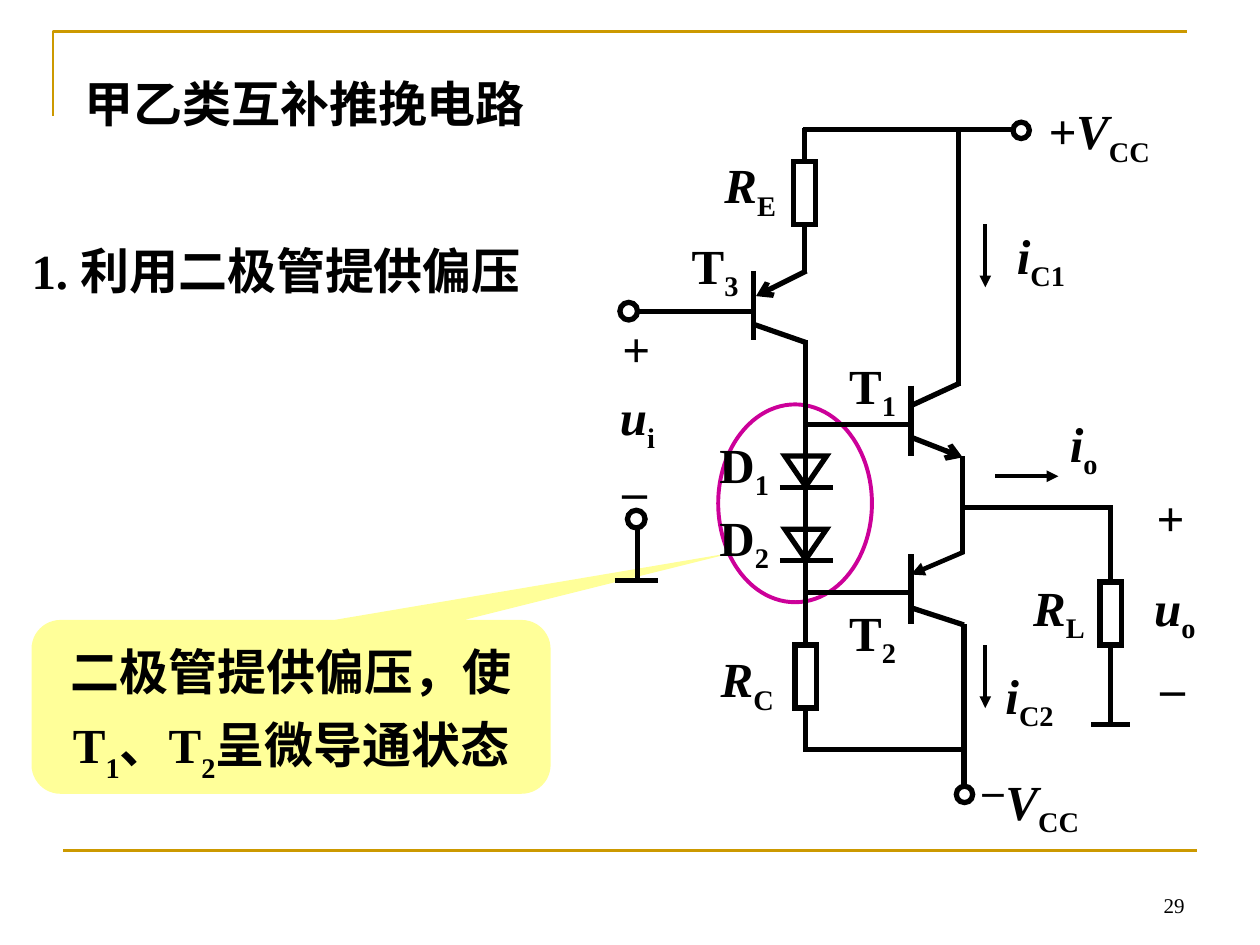
from itertools import groupby
from lxml import etree
from pptx import Presentation
from pptx import util as u
from pptx.dml import color
from pptx.enum import shapes, text
from pptx.oxml import ns

COLORS = {"ink": "000000", "frame": "CC9900", "callout": "FFFF99", "ring": "CC0099"}
LATIN, HAN = "Times New Roman", "Noto Sans CJK SC"
LEFT, CENTER, RIGHT = text.PP_ALIGN.LEFT, text.PP_ALIGN.CENTER, text.PP_ALIGN.RIGHT
TOP, MIDDLE, BOTTOM = text.MSO_ANCHOR.TOP, text.MSO_ANCHOR.MIDDLE, text.MSO_ANCHOR.BOTTOM

deck = Presentation()
deck.slide_width, deck.slide_height = u.Inches(10), u.Inches(7.5)
column, row = deck.slide_width / 10, deck.slide_height / 7.5
page = deck.slides.add_slide(deck.slide_layouts[1])


def write(box, words, size=28, bold=True, italic=False, align=LEFT, anchor=TOP,
          spacing=1.0, margins=(0, 0), wrap=False, drop=-25):
    frame = box.text_frame
    frame.word_wrap = wrap
    frame.auto_size = text.MSO_AUTO_SIZE.NONE
    frame.vertical_anchor = anchor
    frame.margin_left = frame.margin_right = u.Inches(margins[0])
    frame.margin_top = frame.margin_bottom = u.Inches(margins[1])
    para = frame.paragraphs[0]
    para.alignment, para.line_spacing, para.space_before = align, spacing, u.Pt(0)
    for index, part in enumerate(words.split("|")):
        lowered = index % 2 == 1
        for is_han, letters in groupby(part, lambda letter: ord(letter) > 0x2E80):
            span = para.add_run()
            span.text = "".join(letters)
            font = span.font
            font.size, font.bold, font.italic = u.Pt(size), bold, italic and not lowered
            font.color.rgb = color.RGBColor.from_string(COLORS["ink"])
            font.name = HAN if is_han else LATIN
            properties = span._r.get_or_add_rPr()
            etree.SubElement(properties, ns.qn("a:ea")).set("typeface", HAN)
            if lowered:
                properties.set("baseline", str(drop * 1000))


def wire(x1, y1, x2, y2, ink="ink", width=3, head=None, tail=None):
    line = page.shapes.add_connector(shapes.MSO_CONNECTOR.STRAIGHT, int(x1 * column),
                                     int(y1 * row), int(x2 * column), int(y2 * row))
    line.line.color.rgb = color.RGBColor.from_string(COLORS[ink])
    line.line.width = u.Pt(width)
    for tag, kind in (("a:headEnd", head), ("a:tailEnd", tail)):
        if kind:
            etree.SubElement(line.line._get_or_add_ln(), ns.qn(tag)).set("type", kind)
    etree.SubElement(line._element.spPr, ns.qn("a:effectLst"))
    return line


builder = page.shapes.build_freeform(int(0.42 * column), int(0.92 * row), scale=1.0)
builder.add_line_segments([(int(0.42 * column), int(0.25 * row)),
                           (int(9.42 * column), int(0.25 * row))], close=False)
corner = builder.convert_to_shape()
corner.shadow.inherit = False
corner.fill.background()
corner.line.color.rgb = color.RGBColor.from_string(COLORS["frame"])
corner.line.width = u.Pt(1.5)
wire(0.5, 6.75, 9.5, 6.75, ink="frame", width=1.5)

title, body = page.placeholders
for box, x, y, w in ((title, 0.67, 0.58, 3.5), (body, 0.25, 1.91, 4.12)):
    box.left, box.top = int(x * column), int(y * row)
    box.width, box.height = int(w * column), int(0.47 * row)
write(title, "甲乙类互补推挽电路")
item = body.text_frame.paragraphs[0]._p.get_or_add_pPr()
item.set("marL", "0")
item.set("indent", "0")
etree.SubElement(item, ns.qn("a:buNone"))
write(body, "1. 利用二极管提供偏压", wrap=True)

SHAPE = shapes.MSO_SHAPE
outlines = {
    "callout": (SHAPE.ROUNDED_RECTANGULAR_CALLOUT, 0.25, 4.92, 4.12, 1.38, None, 0),
    "ring": (SHAPE.OVAL, 5.7, 3.21, 1.22, 1.57, "ring", 2.25),
    "RE": (SHAPE.RECTANGLE, 6.3, 1.28, 0.17, 0.5, "ink", 3),
    "RC": (SHAPE.RECTANGLE, 6.31, 5.12, 0.17, 0.5, "ink", 3),
    "RL": (SHAPE.RECTANGLE, 8.73, 4.62, 0.17, 0.5, "ink", 3),
    "D1": (SHAPE.FLOWCHART_MERGE, 6.23, 3.62, 0.33, 0.24, "ink", 3),
    "D2": (SHAPE.FLOWCHART_MERGE, 6.23, 4.2, 0.33, 0.24, "ink", 3),
    "input": (SHAPE.OVAL, 4.92, 2.4, 0.14, 0.14, "ink", 3),
    "ground": (SHAPE.OVAL, 4.98, 4.05, 0.14, 0.14, "ink", 3),
    "negative": (SHAPE.OVAL, 7.59, 6.24, 0.13, 0.13, "ink", 3),
    "positive": (SHAPE.OVAL, 8.04, 0.97, 0.13, 0.13, "ink", 3),
}
parts = {}
for name, (kind, x, y, w, h, ink, width) in outlines.items():
    part = page.shapes.add_shape(kind, int(x * column), int(y * row), int(w * column), int(h * row))
    part.shadow.inherit = False
    part.fill.background()
    if ink:
        part.line.color.rgb = color.RGBColor.from_string(COLORS[ink])
        part.line.width = u.Pt(width)
        etree.SubElement(part.line._get_or_add_ln(), ns.qn("a:miter")).set("lim", "800000")
    else:
        part.line.fill.background()
    parts[name] = part

callout = parts["callout"]
callout.fill.solid()
callout.fill.fore_color.rgb = color.RGBColor.from_string(COLORS["callout"])
for index, value in enumerate((0.856, -0.89, 0.167)):
    callout.adjustments[index] = value
write(callout, "二极管提供偏压，使T|1|、T|2|呈微导通状态", align=CENTER, anchor=MIDDLE,
      spacing=1.2, margins=(0.1, 0.05), wrap=True, drop=-30)

wires = [
    (6.37, 1.03, 8.03, 1.03), (7.61, 3.06, 7.61, 1.03),
    (5.98, 2.47, 5.07, 2.47), (5.98, 2.15, 5.98, 2.7), (5.97, 2.57, 6.4, 2.72),
    (7.23, 3.06, 7.23, 3.62), (7.23, 3.22, 7.62, 3.04), (7.23, 3.37, 6.4, 3.37),
    (7.23, 4.4, 7.23, 4.95), (7.22, 4.82, 7.65, 4.96), (7.23, 4.7, 6.4, 4.7),
    (7.64, 3.62, 7.64, 4.4), (7.65, 4.03, 8.82, 4.03),
    (6.19, 3.87, 6.61, 3.87), (6.19, 4.45, 6.61, 4.45),
    (7.65, 6.24, 7.65, 4.95), (7.65, 5.95, 6.39, 5.95),
    (5.06, 4.19, 5.06, 4.61), (4.88, 4.61, 5.22, 4.61), (8.66, 5.75, 8.97, 5.75),
]
for ends in wires:
    wire(*ends)

leads = [("RE", 0, 1.02), ("RE", 2, 2.17), ("RC", 0, 2.7),
         ("RC", 2, 5.97), ("RL", 0, 4.01), ("RL", 2, 5.75)]
for name, side, y in leads:
    middle = (parts[name].left + parts[name].width / 2) / column
    wire(middle, y, middle, y).begin_connect(parts[name], side)

wire(6, 2.35, 6.4, 2.15, head="arrow")
wire(7.23, 3.47, 7.64, 3.63, tail="arrow")
wire(7.23, 4.56, 7.65, 4.38, width=2.64, head="triangle")
for x1, y1, x2, y2 in ((7.82, 1.78, 7.82, 2.28), (7.9, 3.78, 8.4, 3.78), (7.82, 5.12, 7.82, 5.62)):
    wire(x1, y1, x2, y2, width=2.25, tail="triangle")

labels = [
    ("T|3", 5.49, 1.87, 0.4, False), ("T|1", 6.74, 2.82, 0.4, False),
    ("T|2", 6.74, 4.78, 0.4, False), ("D|1", 5.71, 3.45, 0.42, False),
    ("D|2", 5.71, 4.03, 0.42, False), ("R|E", 5.75, 1.23, 0.44, True),
    ("R|C", 5.72, 5.15, 0.45, True), ("R|L", 8.2, 4.58, 0.44, True),
    ("u|i", 4.92, 3.07, 0.31, True), ("u|o", 9.16, 4.58, 0.36, True),
    ("i|C1", 8.07, 1.79, 0.42, True), ("i|C2", 7.98, 5.28, 0.5, True),
    ("i|o", 8.49, 3.28, 0.25, True), ("+V|CC", 8.32, 0.8, 1, True),
    ("V|CC", 7.98, 6.12, 0.73, True), ("+", 4.94, 2.53, 0.24, False),
    ("_", 4.94, 3.52, 0.21, False), ("+", 9.18, 3.87, 0.24, False),
    ("_", 9.21, 5.08, 0.21, False), ("_", 7.82, 5.95, 0.19, True),
]
for words, x, y, w, italic in labels:
    height = 0.53 if "|" in words else 0.47
    box = page.shapes.add_textbox(int(x * column), int(y * row), int(w * column), int(height * row))
    write(box, words, size=24 if words == "_" and italic else 28, italic=italic)

number = page.shapes.add_textbox(int(7.17 * column), int(6.83 * row), int(2.33 * column), int(0.5 * row))
write(number, "29", size=12, bold=False, align=RIGHT, anchor=BOTTOM, margins=(0.1, 0.05), wrap=True)

deck.save("out.pptx")
